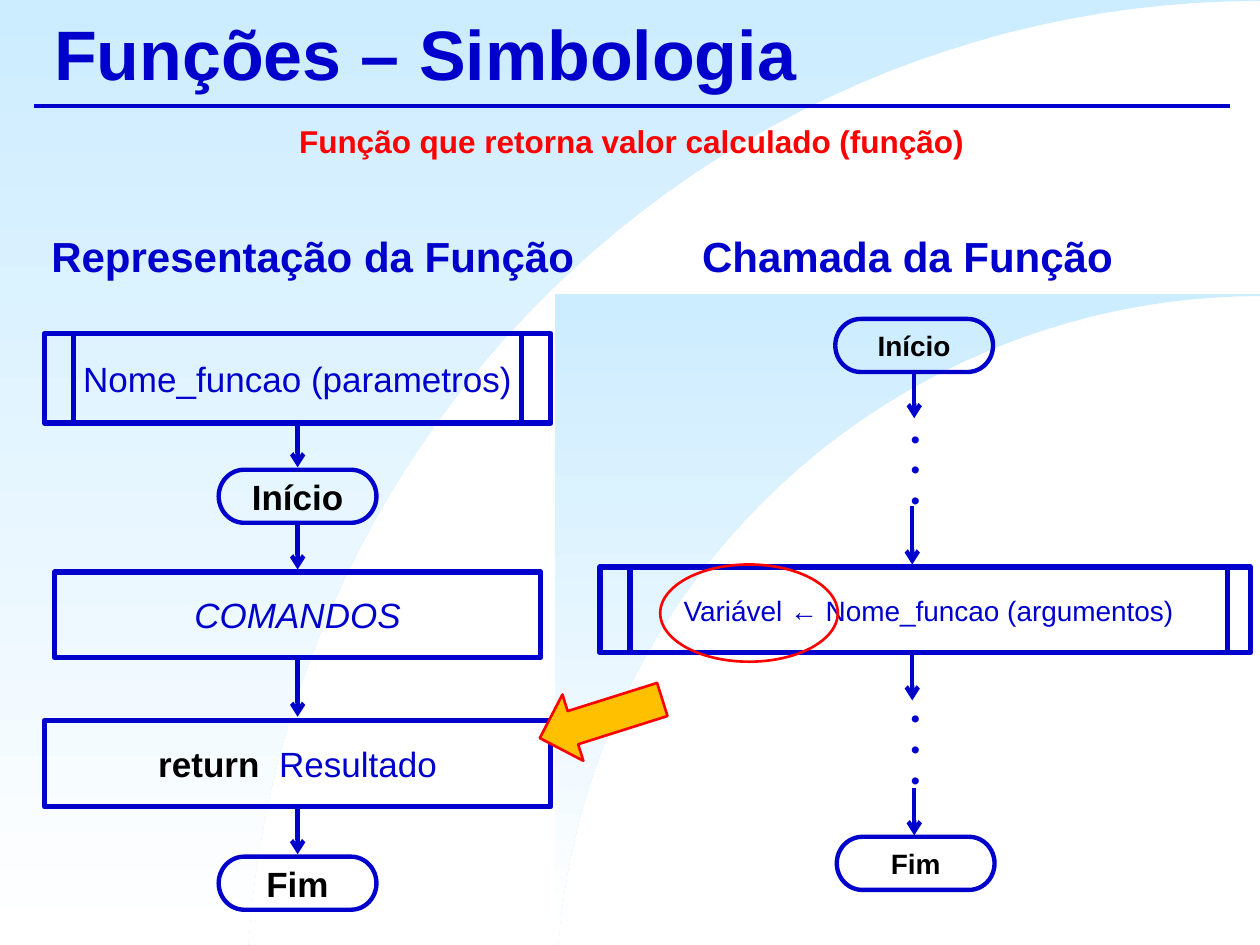
from dataclasses import dataclass
from math import asin, cos, sin

from lxml import etree
from pptx import Presentation
from pptx.dml.color import RGBColor
from pptx.enum import shapes, text
from pptx.oxml import ns
from pptx.util import Cm, Pt


@dataclass(frozen=True)
class Theme:
    """Colours, font and type sizes of the slide."""
    blue: str = "0000CC"
    red: str = "FF0000"
    black: str = "000000"
    amber: str = "FFC000"
    sky: str = "CCECFF"
    white: str = "FFFFFF"
    font: str = "Arial"
    title: int = 40
    heading: int = 24
    body: int = 20
    subtitle: int = 18
    small: int = 16
    dots: int = 14


T = Theme()
KIND = shapes.MSO_SHAPE
WIDTH, HEIGHT = 25.4, 19.05
LEFT_AXIS, RIGHT_AXIS, CALL_AXIS = 6, 18.43, 18.39

# Left, top of each sky panel; gap above its arc; arc start on the bottom edge
SKY_PANELS = [(0, 0, 0.02, 5.0), (11.18, 5.92, 0.05, 11.25)]

# Words, (left, top, width, height), size, colour, centred
TITLE = ("Funções – Simbologia", (0.84, 0, 23.93, 2.11), T.title, T.blue, False)
SUBTITLE = ("Função que retorna valor calculado (função)",
            (0.58, 2.34, 24.31, 1.02), T.subtitle, T.red, True)
HEADINGS = [
    (words, (left, 4.52, 12.01, 1.27), T.heading, T.blue, True)
    for words, left in (("Representação da Função", 0.3), ("Chamada da Função", 12.29))
]

# Words, centre, top, type size
TERMINATORS = [
    ("Início", LEFT_AXIS, 9.47, T.body),
    ("Fim", LEFT_AXIS, 17.27, T.body),
    ("Início", RIGHT_AXIS, 6.43, T.small),
    ("Fim", RIGHT_AXIS + 0.03, 16.87, T.small),
]

# Runs (words, colour, bold, italic), centre, top, width, height, type size
PROCESSES = [
    ([("COMANDOS", T.blue, False, True)], LEFT_AXIS, 11.53, 9.8, 1.73, T.body),
    ([], LEFT_AXIS, 6.73, 10.21, 1.8, T.body),
    ([("Nome_funcao (parametros)", T.blue, False, False)],
     LEFT_AXIS, 6.73, 9.02, 1.8, T.body),
    ([("return  ", T.black, True, False), ("Resultado", T.blue, False, False)],
     LEFT_AXIS, 14.53, 10.21, 1.73, T.body),
    ([], 18.65, 11.43, 13.11, 1.73, T.small),
    ([("Variável ← Nome_funcao (argumentos)", T.blue, False, False)],
     18.72, 11.43, 12.04, 1.73, T.small),
]

# Axis, start, end
FLOW_ARROWS = [
    (LEFT_AXIS, 8.46, 9.42), (LEFT_AXIS, 10.59, 11.48),
    (LEFT_AXIS, 13.31, 14.45), (LEFT_AXIS, 16.26, 17.22),
    (RIGHT_AXIS, 7.54, 8.43), (CALL_AXIS, 10.21, 11.38),
    (CALL_AXIS, 13.16, 14.12), (RIGHT_AXIS, 15.88, 16.84),
]
ELLIPSIS_TOPS = [8.41, 14.05]


def rgb(colour):
    """Turn a hex string into a colour."""
    return RGBColor.from_string(colour)


def add_sky(left, top, gap, foot):
    """Draw a gradient panel cut by a circle that peaks at the right edge."""
    rise, reach = HEIGHT - top - gap, WIDTH - foot
    radius = (rise ** 2 + reach ** 2) / (2 * rise)
    centre_y = top + gap + radius
    sweep = asin(reach / radius)
    steps = 48
    arc = [(WIDTH - radius * sin(sweep * k / steps),
            centre_y - radius * cos(sweep * k / steps))
           for k in range(steps, -1, -1)]
    outline = [(Cm(x), Cm(y)) for x, y in
               arc + [(WIDTH, top), (left, top), (left, HEIGHT)]]
    builder = slide.shapes.build_freeform(*outline[0])
    builder.add_line_segments(outline[1:], close=True)
    panel = builder.convert_to_shape()
    panel.shadow.inherit = False
    panel.line.fill.background()
    panel.fill.gradient()
    panel.fill.gradient_angle = 270
    for stop, colour in zip(panel.fill.gradient_stops, (T.sky, T.white)):
        stop.color.rgb = rgb(colour)


def style(paragraph, size, colour, bold=True, centred=True):
    """Set the font and alignment of a paragraph."""
    font = paragraph.font
    font.name, font.size, font.bold = T.font, Pt(size), bold
    font.color.rgb = rgb(colour)
    paragraph.alignment = text.PP_ALIGN.CENTER if centred else text.PP_ALIGN.LEFT


def add_label(words, box, size, colour, centred):
    """Add a line of bold text."""
    frame = slide.shapes.add_textbox(*map(Cm, box)).text_frame
    frame.word_wrap = True
    frame.text = words
    if not centred:
        frame.vertical_anchor = text.MSO_ANCHOR.MIDDLE
    style(frame.paragraphs[0], size, colour, centred=centred)


def add_outline(kind, box, colour, weight, fill=None):
    """Add a preset shape with an outline and an optional fill."""
    shape = slide.shapes.add_shape(kind, *map(Cm, box))
    shape.shadow.inherit = False
    if fill:
        shape.fill.solid()
        shape.fill.fore_color.rgb = rgb(fill)
    else:
        shape.fill.background()
    shape.line.color.rgb = rgb(colour)
    shape.line.width = Pt(weight)
    return shape


def add_step(kind, runs, centre, top, width, height, size, weight):
    """Add a flowchart symbol around its axis, with its words."""
    symbol = add_outline(kind, (centre - width / 2, top, width, height), T.blue, weight)
    frame = symbol.text_frame
    frame.word_wrap = False
    frame.vertical_anchor = text.MSO_ANCHOR.MIDDLE
    paragraph = frame.paragraphs[0]
    style(paragraph, size, T.blue, bold=False)
    for words, colour, bold, italic in runs:
        run = paragraph.add_run()
        run.text = words
        run.font.name, run.font.size = T.font, Pt(size)
        run.font.bold, run.font.italic = bold, italic
        run.font.color.rgb = rgb(colour)


def add_line(x1, y1, x2, y2, weight, arrow=False):
    """Draw a straight blue line, with an arrowhead if asked."""
    line = slide.shapes.add_connector(shapes.MSO_CONNECTOR.STRAIGHT,
                                      *map(Cm, (x1, y1, x2, y2)))
    line.line.color.rgb = rgb(T.blue)
    line.line.width = Pt(weight)
    if arrow:
        etree.SubElement(line.line._get_or_add_ln(), ns.qn("a:tailEnd"), type="arrow")
    etree.SubElement(line._element.spPr, ns.qn("a:effectLst"))


def add_ellipsis(top):
    """Stack three dots for the steps left out."""
    frame = slide.shapes.add_textbox(*map(Cm, (17.45, top, 2.01, 2.01))).text_frame
    frame.word_wrap = True
    frame.margin_left = frame.margin_right = Cm(0.2)
    frame.margin_top = frame.margin_bottom = Cm(0.1)
    frame.text = "\n".join("•" * 3)
    for paragraph in frame.paragraphs:
        style(paragraph, T.dots, T.blue)
        paragraph.line_spacing = 1.05


deck = Presentation()
deck.slide_width, deck.slide_height = Cm(WIDTH), Cm(HEIGHT)
slide = deck.slides.add_slide(deck.slide_layouts[6])

for panel_spec in SKY_PANELS:
    add_sky(*panel_spec)
add_line(0.69, 2.13, 24.79, 2.13, 2.25)
for label in (TITLE, SUBTITLE, *HEADINGS):
    add_label(*label)
for words, centre, top, size in TERMINATORS:
    add_step(KIND.FLOWCHART_TERMINATOR, [(words, T.black, True, False)],
             centre, top, 3.18, 1.07, size, 2.5)
for process in PROCESSES:
    add_step(KIND.FLOWCHART_PROCESS, *process, 3)
for axis, start, end in FLOW_ARROWS:
    add_line(axis, start, axis, end, 2.5, arrow=True)
for top in ELLIPSIS_TOPS:
    add_ellipsis(top)
result_arrow = add_outline(KIND.RIGHT_ARROW, (10.82, 13.79, 2.59, 1.4), T.red, 1.5, T.amber)
result_arrow.rotation = 162.5
add_outline(KIND.OVAL, (13.31, 11.38, 3.58, 1.96), T.red, 1.5)

deck.save("out.pptx")
